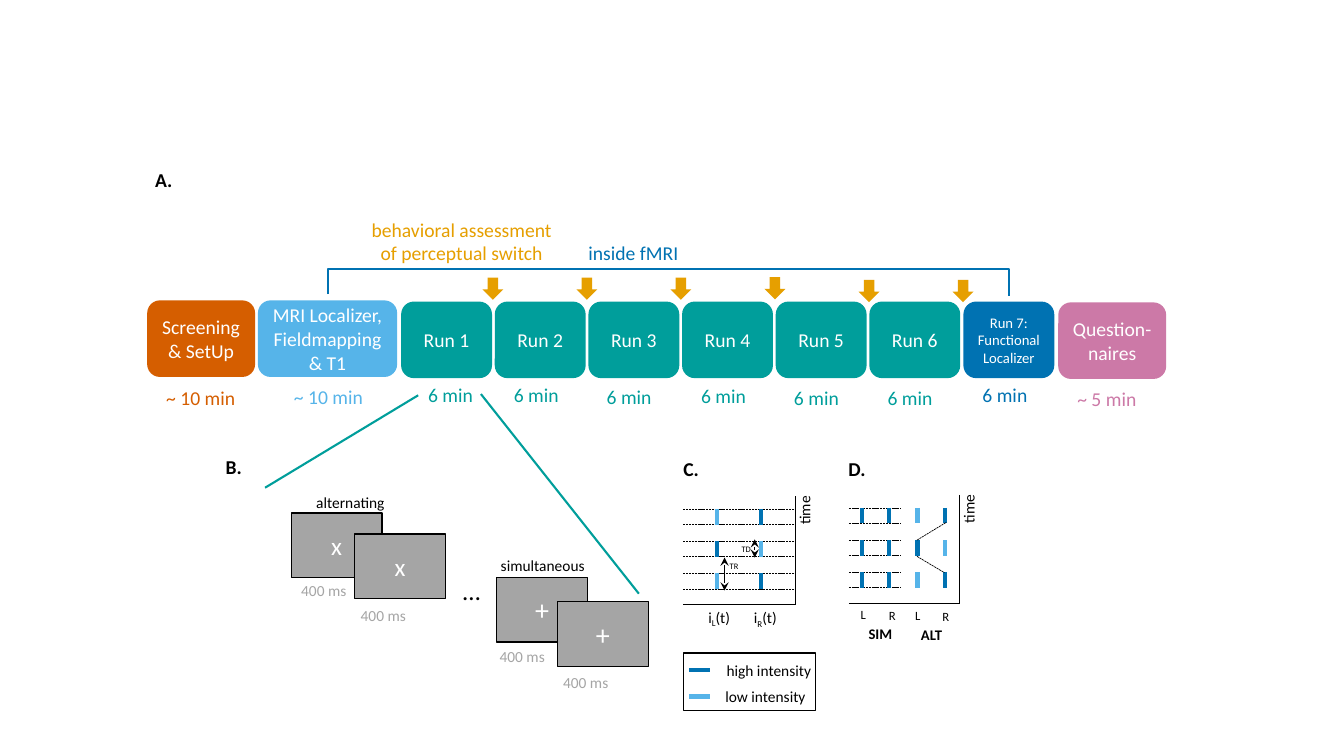
from dataclasses import dataclass
from typing import Optional

from lxml import etree
from pptx import Presentation
from pptx import util as u
from pptx.dml import color
from pptx.enum import dml, shapes, text
from pptx.oxml import ns


@dataclass(frozen=True)
class Theme:
    font: str = "Calibri"
    white: str = "FFFFFF"
    black: str = "000000"
    gray: str = "A5A5A5"
    vermilion: str = "D55E00"
    sky: str = "56B4E9"
    teal: str = "009E9B"
    blue: str = "0072B2"
    pink: str = "CC79A7"
    amber: str = "E69F00"
    tiny: float = 6
    letter: float = 9
    small: float = 10.5
    label: float = 11
    body: float = 14
    stimulus: float = 18
    cross: float = 20


@dataclass(frozen=True)
class Stage:
    name: str
    left: float
    top: float
    width: float
    tint: str
    duration: str
    time_left: float
    time_top: float
    time_width: float = 1.83
    size: float = 14


@dataclass(frozen=True)
class Screen:
    mark: str
    left: float
    top: float
    size: float
    time_left: float
    time_top: float


@dataclass(frozen=True)
class Panel:
    left: float
    top: float
    right: float
    dash_right: float
    bars: tuple[tuple[float, str], ...]


@dataclass(frozen=True)
class Label:
    wording: str
    left: float
    top: float
    width: float
    height: float
    size: float
    tint: str = "000000"
    bold: bool = False


theme = Theme()
deck = Presentation()
deck.slide_width, deck.slide_height = u.Cm(33.87), u.Cm(19.05)
page = deck.slides.add_slide(deck.slide_layouts[6])


def rgb(tint: str) -> color.RGBColor:
    return color.RGBColor.from_string(tint)


def write(box, wording: str, *, size: float, tint: str = theme.black, bold: bool = False,
          centred: bool = False, middle: bool = False, wrap: bool = True) -> None:
    frame = box.text_frame
    frame.word_wrap = wrap
    frame.vertical_anchor = text.MSO_ANCHOR.MIDDLE if middle else text.MSO_ANCHOR.TOP
    if not middle:
        frame.auto_size = text.MSO_AUTO_SIZE.SHAPE_TO_FIT_TEXT
    para = frame.paragraphs[0]
    para.alignment = text.PP_ALIGN.CENTER if centred else text.PP_ALIGN.LEFT
    for index, part in enumerate(wording.split("_")):
        span = para.add_run()
        span.text = part
        span.font.name, span.font.size, span.font.bold = theme.font, u.Pt(size), bold
        span.font.color.rgb = rgb(tint)
        if index % 2:
            span.font._element.set("baseline", "-25000")


def add_text(left: float, top: float, width: float, height: float, wording: str, **style):
    box = page.shapes.add_textbox(u.Cm(left), u.Cm(top), u.Cm(width), u.Cm(height))
    write(box, wording, **style)
    return box


def add_box(kind, left: float, top: float, width: float, height: float, fill: str,
            outline: Optional[str] = None):
    box = page.shapes.add_shape(kind, u.Cm(left), u.Cm(top), u.Cm(width), u.Cm(height))
    box.shadow.inherit = False
    box.fill.solid()
    box.fill.fore_color.rgb = rgb(fill)
    if outline:
        box.line.color.rgb, box.line.width = rgb(outline), u.Pt(1)
    else:
        box.line.fill.background()
    return box


def add_line(x1: float, y1: float, x2: float, y2: float, tint: str = theme.black,
             weight: float = 1, dashed: bool = False, arrows: bool = False,
             kind=shapes.MSO_CONNECTOR.STRAIGHT):
    line = page.shapes.add_connector(kind, u.Cm(x1), u.Cm(y1), u.Cm(x2), u.Cm(y2))
    line.line.color.rgb, line.line.width = rgb(tint), u.Pt(weight)
    if dashed:
        line.line.dash_style = dml.MSO_LINE.SQUARE_DOT
    if arrows:
        for end in ("a:headEnd", "a:tailEnd"):
            etree.SubElement(line.line._get_or_add_ln(), ns.qn(end), type="stealth")
    etree.SubElement(line._element.spPr, ns.qn("a:effectLst"))
    return line


def draw_stage(stage: Stage) -> None:
    box = add_box(shapes.MSO_SHAPE.ROUNDED_RECTANGLE, stage.left, stage.top, stage.width, 1.93,
                  stage.tint)
    write(box, stage.name, size=stage.size, tint=theme.white, centred=True, middle=True)
    add_text(stage.time_left, stage.time_top, stage.time_width, 0.86, stage.duration,
             size=theme.body, tint=stage.tint)


def draw_bracket() -> None:
    bracket = add_line(16.83, -1.15, 16.87, 16.02, theme.blue, 1.5,
                       kind=shapes.MSO_CONNECTOR.ELBOW)
    properties = bracket._element.spPr
    properties.xfrm.set("rot", "16200000")
    properties.xfrm.set("flipH", "1")
    guides = properties.find(".//" + ns.qn("a:avLst"))
    etree.SubElement(guides, ns.qn("a:gd"), name="adj1", fmla="val -1600000")


def draw_screen(screen: Screen) -> None:
    box = add_box(shapes.MSO_SHAPE.RECTANGLE, screen.left, screen.top, 2.29, 1.63, theme.gray,
                  theme.black)
    write(box, screen.mark, size=screen.size, tint=theme.white, centred=True, middle=True)
    add_text(screen.time_left, screen.time_top, 1.8, 0.74, "400 ms", size=theme.label,
             tint=theme.gray)


def draw_panel(panel: Panel) -> None:
    bottom = panel.top + 2.74
    add_line(panel.left, bottom, panel.right, bottom)
    add_line(panel.right, panel.top, panel.right, bottom)
    add_text(panel.right - 0.41, panel.top - 0.05, 1.3, 0.74, "time",
             size=theme.label).rotation = 270
    for row in range(3):
        upper = panel.top + 0.33 + 0.81 * row
        lower = upper + 0.39
        for level in (upper, lower):
            add_line(panel.left, level, panel.dash_right, level, weight=0.5, dashed=True)
        for x, levels in panel.bars:
            add_line(x, upper, x, lower, theme.blue if levels[row] == "H" else theme.sky, 3)


def main() -> None:
    time_spots = ((10.54, 9.53), (12.7, 9.53), (15.04, 9.58), (17.42, 9.55), (19.76, 9.6),
                  (22.12, 9.6))
    runs = [Stage(f"Run {n + 1}", 10.11 + 2.36 * n, 7.6, 2.29, theme.teal, "6 min", *spot)
            for n, spot in enumerate(time_spots)]
    stages = [
        Stage("Screening & SetUp", 3.71, 7.57, 2.72, theme.vermilion, "~ 10 min", 3.94, 9.6, 2.26),
        Stage("MRI Localizer, Fieldmapping & T1", 6.5, 7.57, 3.51, theme.sky, "~ 10 min",
              7.16, 9.58, 2.26),
        *runs,
        Stage("Run 7: Functional Localizer", 24.28, 7.6, 2.29, theme.blue, "6 min", 24.51, 9.53,
              size=theme.small),
        Stage("Question-naires", 26.67, 7.62, 2.72, theme.pink, "~ 5 min", 26.9, 9.63, 2.26),
    ]
    for stage in stages:
        draw_stage(stage)
    draw_bracket()
    add_text(14.58, 5.94, 2.79, 0.86, "inside fMRI", size=theme.body, tint=theme.blue, wrap=False)
    add_text(9.07, 5.36, 5.13, 1.45, "behavioral assessment of perceptual switch",
             size=theme.body, tint=theme.amber, centred=True)
    for n, top in enumerate((7.01, 7.01, 7.01, 7.0, 7.07, 7.07)):
        add_box(shapes.MSO_SHAPE.RIGHT_ARROW, 12.14 + 2.37 * n, top, 0.56, 0.53,
                theme.amber).rotation = 90

    for screen in (Screen("x", 7.34, 12.93, theme.stimulus, 7.34, 14.53),
                   Screen("x", 8.94, 13.46, theme.stimulus, 8.84, 15.16),
                   Screen("+", 12.52, 14.55, theme.cross, 12.34, 16.18),
                   Screen("+", 14.05, 15.16, theme.cross, 13.94, 16.84)):
        draw_screen(screen)
    add_text(10.74, 14.07, 2.29, 1.63, "…", size=theme.stimulus, centred=True, middle=True)
    add_line(10.54, 9.96, 6.68, 12.29, theme.teal, 1.5)
    add_line(12.12, 9.93, 16.1, 14.96, theme.teal, 1.5)

    draw_panel(Panel(17.22, 12.5, 20.04, 20.04, ((18.06, "LHL"), (19.18, "HLH"))))
    draw_panel(Panel(21.39, 12.47, 24.18, 22.7, ((21.72, "HHH"), (22.41, "HHH"),
                                                 (23.12, "LHL"), (23.81, "HLH"))))
    add_line(18.26, 14.05, 18.26, 14.88, weight=0.75, arrows=True)
    add_line(19.02, 13.59, 19.02, 14.05, weight=0.75, arrows=True)
    add_line(23.11, 13.61, 23.85, 13.16, weight=0.5, dashed=True)
    add_line(23.11, 14.02, 23.8, 14.43, weight=0.5, dashed=True)

    add_box(shapes.MSO_SHAPE.RECTANGLE, 17.22, 16.46, 3.33, 1.45, theme.white, theme.black)
    add_line(17.37, 16.89, 17.9, 16.89, theme.blue, 3)
    add_line(17.37, 17.55, 17.9, 17.55, theme.sky, 3)

    labels = [
        Label("alternating", 7.72, 12.29, 2.82, 0.74, theme.label),
        Label("simultaneous", 12.37, 13.89, 2.82, 0.74, theme.label),
        Label("i_L_(t)", 17.6, 15.19, 1.3, 0.74, theme.label),
        Label("i_R_(t)", 18.75, 15.21, 1.3, 0.74, theme.label),
        Label("TD", 18.44, 13.59, 0.86, 0.51, theme.tiny),
        Label("TR", 18.14, 14.02, 0.86, 0.51, theme.tiny),
        Label("SIM", 21.64, 15.62, 1.52, 0.71, theme.small, bold=True),
        Label("ALT", 22.96, 15.65, 1.65, 0.71, theme.small, bold=True),
        Label("high intensity", 18.06, 16.54, 2.82, 0.74, theme.label),
        Label("low intensity", 18.03, 17.2, 2.82, 0.74, theme.label),
    ]
    labels += [Label(side, left, top, 0.64, 0.64, theme.letter) for side, left, top in
               (("L", 21.44, 15.16), ("R", 22.15, 15.19), ("L", 22.81, 15.19), ("R", 23.5, 15.21))]
    labels += [Label(name, left, top, 1.78, 0.86, theme.body, bold=True) for name, left, top in
               (("A.", 3.66, 4.11), ("B.", 5.44, 11.35), ("C.", 16.97, 11.4), ("D.", 21.13, 11.4))]
    for label in labels:
        add_text(label.left, label.top, label.width, label.height, label.wording,
                 size=label.size, tint=label.tint, bold=label.bold)
    deck.save("out.pptx")


if __name__ == "__main__":
    main()
